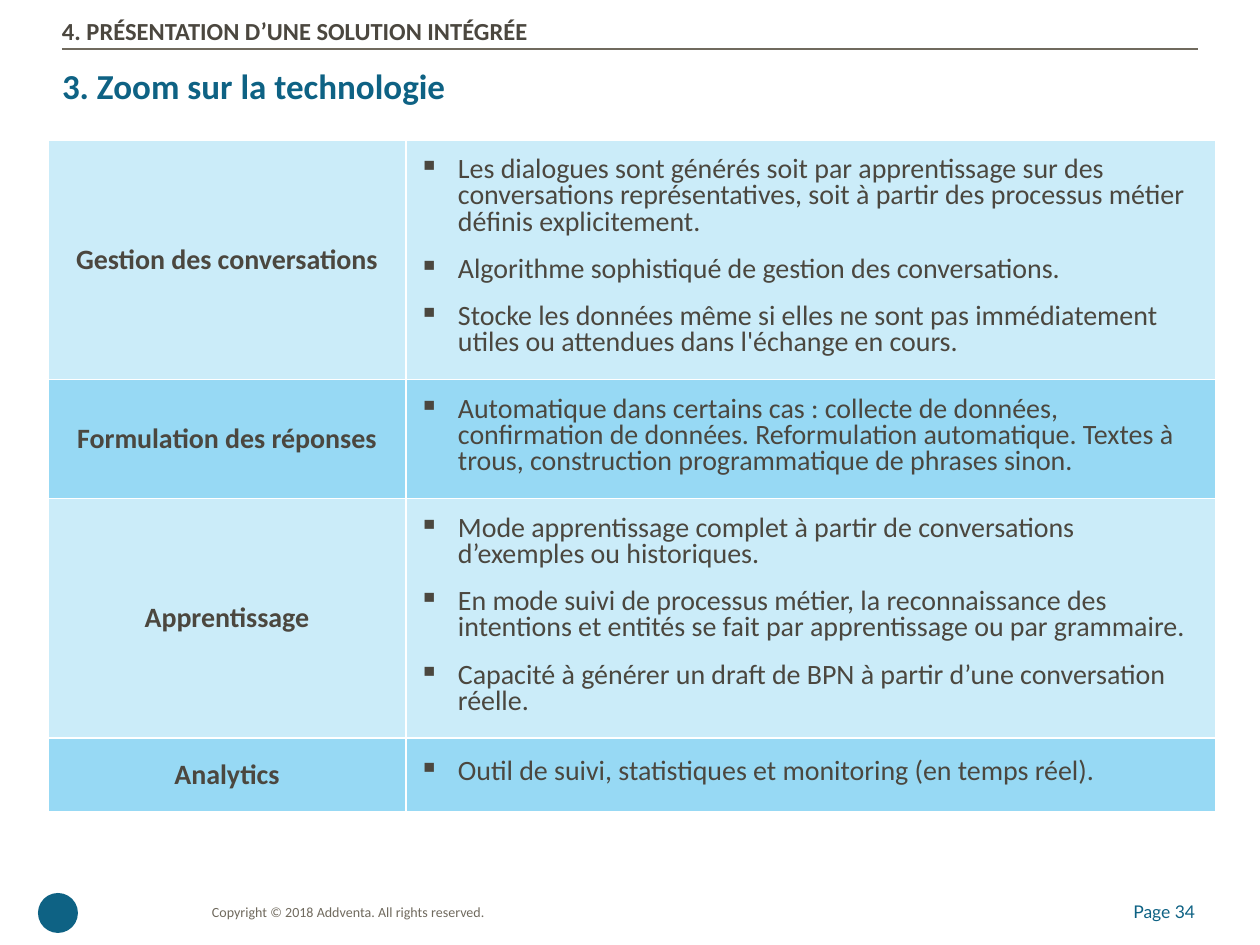
from dataclasses import dataclass

import pptx
import pptx.dml.color
import pptx.enum.shapes
import pptx.enum.text
import pptx.oxml
import pptx.oxml.ns
import pptx.util

PX = 914400 / 126
ALIGN = pptx.enum.text.PP_ALIGN
ANCHOR = pptx.enum.text.MSO_ANCHOR
DARK, BLUE, GREY, WHITE = "4B473F", "0E6284", "706A5E", "FFFFFF"
ROW_FILLS = ("CBECF9", "97D9F4")
BULLET_INDENT = 39
CELL_MARGINS = {"margin_left": 13, "margin_right": 13, "margin_top": 20, "margin_bottom": 20}


@dataclass
class Label:
    text: str
    box: tuple[int, int, int, int]
    size: int
    color: str
    font: str = "Calibri"
    bold: bool = False
    align: ALIGN = ALIGN.LEFT
    anchor: ANCHOR = ANCHOR.MIDDLE
    top_margin: int = 0
    line_spacing: float | pptx.util.Length = 1.0


@dataclass
class Topic:
    name: str
    points: list[str]
    height: int
    anchor: ANCHOR = ANCHOR.TOP


LABELS = [
    Label("4. PRÉSENTATION D’UNE SOLUTION INTÉGRÉE", (62, 13, 1198, 48), 14, DARK,
          bold=True, anchor=ANCHOR.TOP, top_margin=6, line_spacing=0.9),
    Label("3. Zoom sur la technologie", (62, 63, 1168, 74), 20, BLUE,
          bold=True, anchor=ANCHOR.TOP, top_margin=5, line_spacing=pptx.util.Pt(22)),
    Label("Copyright © 2018 Addventa. All rights reserved.", (193, 907, 311, 10), 8, GREY,
          align=ALIGN.CENTER),
    Label("Page 34", (1109, 907, 86, 10), 10, BLUE, font="Lato", align=ALIGN.RIGHT),
]

TOPICS = [
    Topic("Gestion des conversations", [
        "Les dialogues sont générés soit par apprentissage sur des conversations "
        "représentatives, soit à partir des processus métier définis explicitement.",
        "Algorithme sophistiqué de gestion des conversations.",
        "Stocke les données même si elles ne sont pas immédiatement utiles ou attendues "
        "dans l'échange en cours.",
    ], 239),
    Topic("Formulation des réponses", [
        "Automatique dans certains cas : collecte de données, confirmation de données. "
        "Reformulation automatique. Textes à trous, construction programmatique de "
        "phrases sinon.",
    ], 119),
    Topic("Apprentissage", [
        "Mode apprentissage complet à partir de conversations d’exemples ou historiques.",
        "En mode suivi de processus métier, la reconnaissance des intentions et entités "
        "se fait par apprentissage ou par grammaire.",
        "Capacité à générer un draft de BPN à partir d’une conversation réelle.",
    ], 239),
    Topic("Analytics", ["Outil de suivi, statistiques et monitoring (en temps réel)."],
          73, ANCHOR.MIDDLE),
]


def px(length: int) -> pptx.util.Emu:
    return pptx.util.Emu(round(length * PX))


def rgb(color: str) -> pptx.dml.color.RGBColor:
    return pptx.dml.color.RGBColor.from_string(color)


def set_attributes(target, values: dict) -> None:
    for name, value in values.items():
        setattr(target, name, value)


def set_font(paragraph, size: int, color: str, bold: bool, name: str = "Calibri") -> None:
    for run in paragraph.runs:
        set_attributes(run.font, {"size": pptx.util.Pt(size), "bold": bold, "name": name})
        run.font.color.rgb = rgb(color)


def add_xml(parent, index: int, xml: str) -> None:
    tag, rest = xml.split(" ", 1)
    namespace = pptx.oxml.ns.nsdecls("a")
    parent.insert(index, pptx.oxml.parse_xml(f"<a:{tag} {namespace} {rest}"))


def draw_label(slide, label: Label) -> None:
    frame = slide.shapes.add_textbox(*map(px, label.box)).text_frame
    set_attributes(frame, {
        "word_wrap": True, "vertical_anchor": label.anchor, "margin_left": 0,
        "margin_right": 0, "margin_top": px(label.top_margin), "margin_bottom": 0,
    })
    paragraph = frame.paragraphs[0]
    paragraph.text = label.text
    set_attributes(paragraph, {"alignment": label.align, "line_spacing": label.line_spacing})
    set_font(paragraph, label.size, label.color, label.bold, label.font)


def add_bullet(paragraph) -> None:
    properties = paragraph._p.get_or_add_pPr()
    indent = px(BULLET_INDENT)
    properties.set("marL", str(indent))
    properties.set("indent", str(-indent))
    add_xml(properties, len(properties), 'buChar char="▪"/>')


def style_cell(cell, fill: str, anchor: ANCHOR) -> None:
    """Set the margins, anchor, fill and white borders of a cell."""
    set_attributes(cell, {name: px(value) for name, value in CELL_MARGINS.items()})
    cell.vertical_anchor = anchor
    cell.fill.solid()
    cell.fill.fore_color.rgb = rgb(fill)
    for index, side in enumerate("LRTB"):
        add_xml(cell._tc.get_or_add_tcPr(), index,
                f'ln{side} w="12700"><a:solidFill><a:srgbClr val="{WHITE}"/>'
                f'</a:solidFill></a:ln{side}>')


def fill_points(cell, points: list[str]) -> None:
    frame = cell.text_frame
    for index, point in enumerate(points):
        paragraph = frame.add_paragraph() if index else frame.paragraphs[0]
        paragraph.text = point
        add_bullet(paragraph)
        set_attributes(paragraph, {
            "line_spacing": pptx.util.Pt(15),
            "space_before": pptx.util.Pt(12 if index else 0),
        })
        set_font(paragraph, 16, DARK, False)


def draw_topics(slide, topics: list[Topic]) -> None:
    widths = (358, 810)
    height = sum(topic.height for topic in topics)
    table = slide.shapes.add_table(
        len(topics), len(widths), px(48), px(140), px(sum(widths)), px(height)).table
    set_attributes(table, {"first_row": False, "horz_banding": False})
    for column, width in zip(table.columns, widths):
        column.width = px(width)
    for index, (row, topic) in enumerate(zip(table.rows, topics)):
        row.height = px(topic.height)
        name_cell, points_cell = row.cells
        fill = ROW_FILLS[index % 2]
        style_cell(name_cell, fill, ANCHOR.MIDDLE)
        style_cell(points_cell, fill, topic.anchor)
        name_cell.text = topic.name
        paragraph = name_cell.text_frame.paragraphs[0]
        paragraph.alignment = ALIGN.CENTER
        set_font(paragraph, 16, DARK, True)
        fill_points(points_cell, topic.points)


def draw_header_rule(slide) -> None:
    rule = slide.shapes.add_connector(
        pptx.enum.shapes.MSO_CONNECTOR.STRAIGHT, px(62), px(49), px(1198), px(49))
    rule.line.width = pptx.util.Pt(0.75)
    rule.line.color.rgb = rgb(GREY)
    properties = rule._element.spPr
    add_xml(properties, len(properties), "effectLst />")


def draw_footer_mark(slide) -> None:
    mark = slide.shapes.add_shape(
        pptx.enum.shapes.MSO_SHAPE.OVAL, px(38), px(893), px(40), px(40))
    mark.shadow.inherit = False
    mark.fill.solid()
    mark.fill.fore_color.rgb = rgb(BLUE)
    mark.line.fill.background()


def main() -> None:
    presentation = pptx.Presentation()
    set_attributes(presentation, {"slide_width": px(1260), "slide_height": px(945)})
    slide = presentation.slides.add_slide(presentation.slide_layouts[6])
    draw_header_rule(slide)
    draw_footer_mark(slide)
    draw_topics(slide, TOPICS)
    for label in LABELS:
        draw_label(slide, label)
    presentation.save("out.pptx")


if __name__ == "__main__":
    main()
